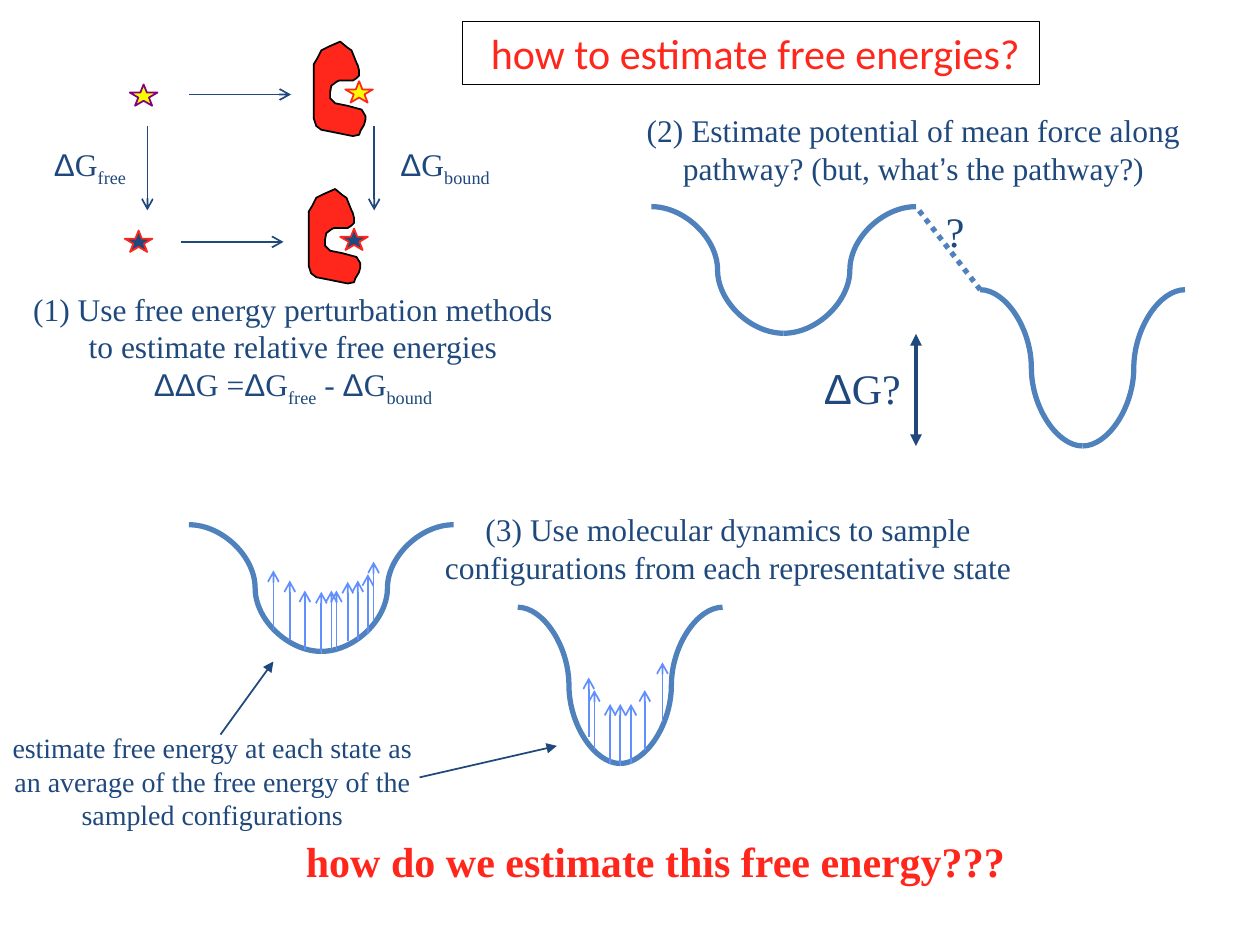
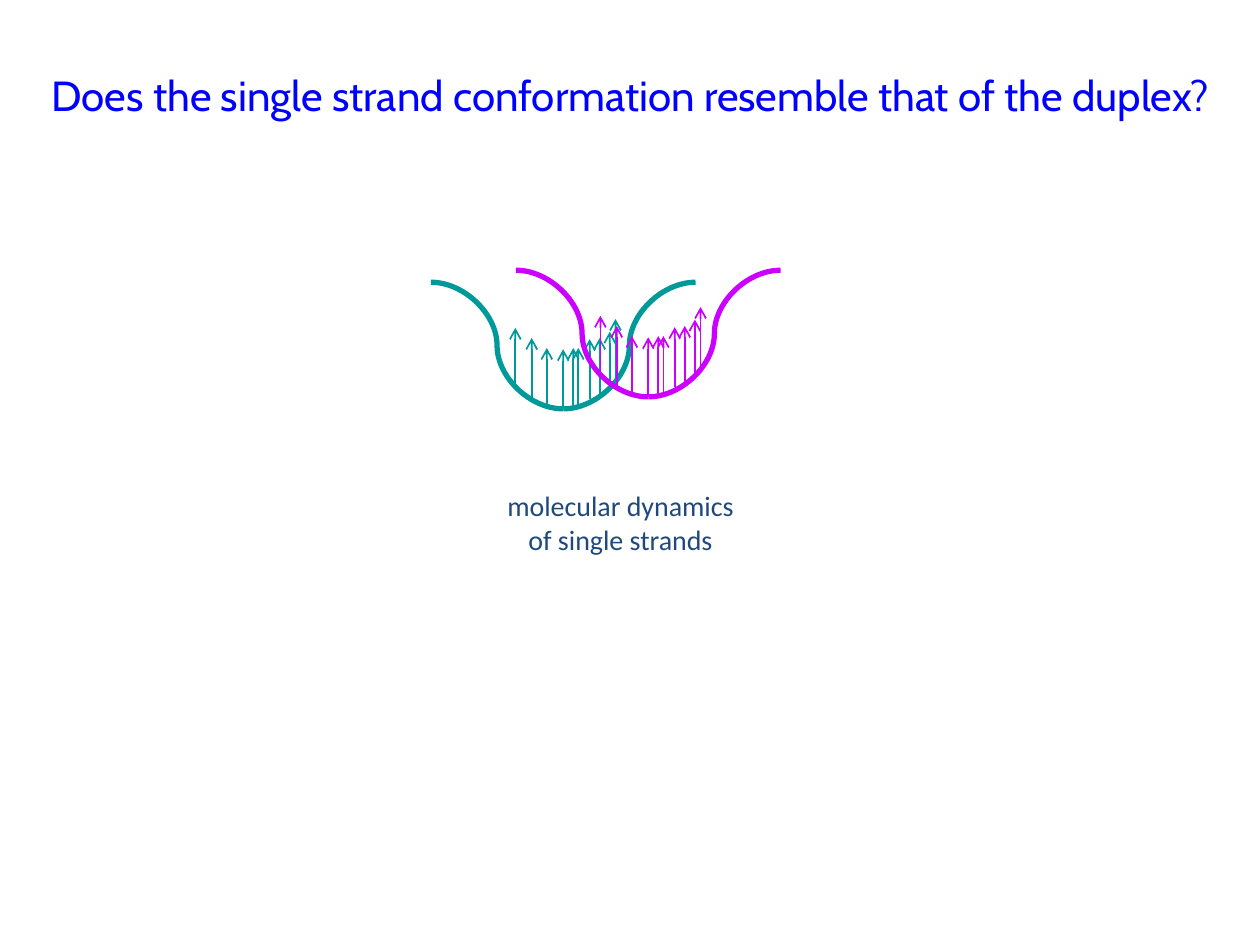
from dataclasses import dataclass

import pptx
import pptx.dml.color
import pptx.enum.dml
import pptx.enum.shapes
import pptx.enum.text
import pptx.oxml
import pptx.oxml.ns
import pptx.util


@dataclass(frozen=True)
class Theme:
    """Colours, fonts, type sizes and line widths of the deck."""
    navy: str = "1F497D"
    steel: str = "4F81BD"
    sky: str = "618FFD"
    red: str = "FF261B"
    yellow: str = "FAFD00"
    purple: str = "800080"
    black: str = "000000"
    blue: str = "0000FF"
    teal: str = "009999"
    magenta: str = "CC00FF"
    serif: str = "Times New Roman"
    symbol: str = "Arial"
    sans: str = "Calibri"
    heading: str = "Cabin"
    large: int = 24
    body: int = 18
    small: int = 16
    thin: float = 1
    medium: float = 2.25
    thick: float = 3


THEME = Theme()
COLUMNS, ROWS = 100, 75
CELL = pptx.util.Inches(0.1)
SAMPLE_ROWS = 4.73
WIDE_WELL = (21, 10.05)
NARROW_WELL = (16.25, 12.4)
WIDE_SAMPLES = [(-3.8, 1.7), (-2.5, 0.9), (-1.3, 0.1), (0, 0), (0.8, 0.1),
                (1.2, 0.1), (2.1, 0.8), (2.9, 0.9), (3.7, 1.4), (4.15, 2.4)]
NARROW_SAMPLES = [(-2.5, 2.1), (-2.05, 1.1), (-0.8, 0), (0, 0), (0.85, 0),
                  (1.95, 1.1), (3.35, 3.3)]
PROTEIN_OUTLINE = [
    (34, 17), (30, 7), (27, 5), (21, 0), (12, 4), (6, 7), (3, 13), (0, 18),
    (0, 29), (0, 52), (0, 61), (2, 67), (6, 70), (16, 72), (31, 75), (36, 74),
    (37, 71), (40, 66), (41, 62), (41, 59), (38, 54), (27, 51), (17, 49),
    (13, 45), (13, 40), (14, 35), (18, 32), (20, 31), (31, 31), (34, 29),
    (36, 27), (36, 23), (35, 19)]


@dataclass
class Region:
    """A box on a page, measured in grid columns and rows."""
    page: object
    left: float = 0
    top: float = 0
    width: float = COLUMNS
    height: float = ROWS

    def area(self, left, top, width, height):
        """Return a box placed relative to this one."""
        return Region(self.page, self.left + left, self.top + top, width, height)

    def point(self, column, row):
        """Return slide lengths for a position within this box."""
        return round((self.left + column) * CELL), round((self.top + row) * CELL)

    def frame(self):
        """Return left, top, width and height as slide lengths."""
        return *self.point(0, 0), round(self.width * CELL), round(self.height * CELL)


@dataclass
class Words:
    """A stretch of text in one style."""
    text: str
    font: str = THEME.serif
    lowered: bool = False
    bold: bool = False


def rgb(colour):
    """Turn a hex string into a colour."""
    return pptx.dml.color.RGBColor.from_string(colour)


def write(region, paragraphs, size, colour=THEME.navy, centred=True, wrap=True,
          fit=True, indent=0.1):
    """Fill a region with paragraphs made of styled words."""
    box = region.page.shapes.add_textbox(*region.frame())
    frame = box.text_frame
    frame.word_wrap = wrap
    frame.margin_left = pptx.util.Inches(indent)
    if fit:
        frame.auto_size = pptx.enum.text.MSO_AUTO_SIZE.SHAPE_TO_FIT_TEXT
    else:
        frame.vertical_anchor = pptx.enum.text.MSO_ANCHOR.MIDDLE
    for index, paragraph in enumerate(paragraphs):
        para = frame.add_paragraph() if index else frame.paragraphs[0]
        if centred:
            para.alignment = pptx.enum.text.PP_ALIGN.CENTER
        for words in paragraph:
            span = para.add_run()
            span.text = words.text
            span.font.name = words.font
            span.font.size = pptx.util.Pt(size)
            span.font.bold = words.bold
            span.font.color.rgb = rgb(colour)
            if words.lowered:
                span.font._element.set("baseline", "-25000")


def paint(shape, fill, outline, width=THEME.thin):
    """Set the fill and outline of a shape."""
    shape.shadow.inherit = False
    if fill:
        shape.fill.solid()
        shape.fill.fore_color.rgb = rgb(fill)
    else:
        shape.fill.background()
    shape.line.color.rgb = rgb(outline)
    shape.line.width = pptx.util.Pt(width)


def draw_line(region, start, end, colour=THEME.navy, width=THEME.thin, head=None,
              tail=None, dotted=False, curved=False):
    """Join two positions in a region by a line, curve or arrow."""
    kinds = pptx.enum.shapes.MSO_CONNECTOR
    line = region.page.shapes.add_connector(
        kinds.CURVE if curved else kinds.STRAIGHT,
        *region.point(*start), *region.point(*end))
    line.line.color.rgb = rgb(colour)
    line.line.width = pptx.util.Pt(width)
    if dotted:
        line.line.dash_style = pptx.enum.dml.MSO_LINE.ROUND_DOT
    properties = line._element.spPr
    stroke = properties.find(pptx.oxml.ns.qn("a:ln"))
    for tag, kind in (("headEnd", head), ("tailEnd", tail)):
        if kind:
            stroke.append(pptx.oxml.parse_xml(
                f'<a:{tag} {pptx.oxml.ns.nsdecls("a")} type="{kind}"/>'))
    properties.append(pptx.oxml.parse_xml(
        f'<a:effectLst {pptx.oxml.ns.nsdecls("a")}/>'))


def draw_well(region, colour=THEME.steel, samples=(), sample_colour=THEME.sky):
    """Draw an energy well across a region, with sampled states rising from it."""
    centre, bottom = region.width / 2, region.height
    for edge in (region.width, 0):
        draw_line(region, (centre, bottom), (edge, 0), colour, THEME.thick,
                  curved=True)
    for offset, rise in samples:
        column, row = centre + offset, bottom - rise
        draw_line(region, (column, row - SAMPLE_ROWS), (column, row),
                  sample_colour, head="arrow")


def draw_ligand(region, left, top, fill, outline=THEME.red):
    """Draw a ligand as a star."""
    star = region.page.shapes.add_shape(
        pptx.enum.shapes.MSO_SHAPE.STAR_5_POINT,
        *region.area(left, top, 2.2, 1.7).frame())
    paint(star, fill, outline)


def draw_complex(region, ligand):
    """Draw a protein with a ligand in its pocket."""
    builder = region.page.shapes.build_freeform(
        *PROTEIN_OUTLINE[0], scale=CELL / 10)
    builder.add_line_segments(PROTEIN_OUTLINE[1:], close=True)
    paint(builder.convert_to_shape(*region.point(0, 0)), THEME.red, THEME.black)
    draw_ligand(region, 2.5, 3.15, ligand)


def delta_g(state):
    """Return the words for the free energy change of a state."""
    return [Words("Δ", THEME.symbol), Words("G"), Words(state, lowered=True)]


def draw_perturbation(region):
    """Draw the thermodynamic cycle and its caption."""
    draw_complex(region.area(24.9, 0.3, 4.2, 7.5), THEME.yellow)
    draw_complex(region.area(24.5, 12, 4.2, 7.5), THEME.navy)
    draw_ligand(region, 10.3, 3.7, THEME.yellow, THEME.purple)
    draw_ligand(region, 9.9, 15.3, THEME.navy)
    for column, row in ((14.4, 16.2), (15, 4.5)):
        draw_line(region, (column, row), (column + 8.1, row), tail="arrow")
    for column in (11.7, 29.7):
        draw_line(region, (column, 13.7), (column, 7), head="arrow")
    for column, width, state in ((3.3, 11.7, "free"), (30.8, 13.3, "bound")):
        write(region.area(column, 8, width, 4), [delta_g(state)], THEME.body,
              centred=False)
    write(region.area(0, 19.5, region.width, 10), [
        [Words("(1) Use free energy perturbation methods to estimate relative "
               "free energies")],
        [Words("ΔΔ", THEME.symbol), Words("G ="), *delta_g("free"),
         Words(" - "), *delta_g("bound")],
    ], THEME.body, indent=0.17)


def draw_mean_force(region):
    """Draw two wells joined by an unknown pathway, under a caption."""
    draw_well(region.area(27.8, 14.7, *NARROW_WELL))
    draw_well(region.area(1.7, 8.1, *WIDE_WELL))
    draw_line(region, (22.7, 18.2), (22.7, 27.1), width=THEME.medium,
              head="triangle", tail="triangle")
    write(region.area(14.4, 20, 8.3, 5), [[Words("Δ", THEME.symbol), Words("G?")]],
          THEME.large, centred=False)
    draw_line(region, (27.8, 14.7), (22.7, 8.1), THEME.steel, THEME.thick, dotted=True)
    write(region.area(24.1, 7.5, 3.7, 5), [[Words("?")]], THEME.large,
          centred=False, wrap=False)
    write(region.area(0, 0, 45, 7), [[
        Words("(2) Estimate potential of mean force along pathway? (but, what"),
        Words("’", THEME.symbol), Words("s the pathway?)")]], THEME.body)


def draw_sampling(region):
    """Draw two sampled wells with their captions and pointers."""
    draw_well(region.area(41.1, 8.2, *NARROW_WELL), samples=NARROW_SAMPLES)
    draw_well(region.area(15, 1.65, *WIDE_WELL), samples=WIDE_SAMPLES)
    write(region.area(33.3, 0, 49, 7), [[
        Words("(3) Use molecular dynamics to sample configurations from each "
              "representative state")]], THEME.body)
    write(region.area(0, 17.5, 33.7, 9), [[
        Words("estimate free energy at each state as an average of the free "
              "energy of the sampled configurations")]], THEME.small)
    draw_line(region, (21.7, 12.5), (17.5, 18.3), head="triangle")
    draw_line(region, (33.3, 21.7), (44.2, 19.2), tail="triangle")


def draw_title(region, text, font, colour):
    """Write a slide title centred in a region."""
    write(region, [[Words(text, font)]], THEME.large, colour, fit=False)


def build_methods(page):
    """Build the slide comparing three ways to estimate free energies."""
    whole = Region(page)
    draw_mean_force(whole.area(50, 8.3, 45, 28))
    draw_sampling(whole.area(0, 40, 83, 27))
    draw_perturbation(whole.area(0, 3, 45.8, 30))
    draw_title(whole.area(28.3, 1.7, 63.3, 5), "how to estimate free energies?",
               THEME.sans, THEME.red)
    border = page.shapes.add_shape(pptx.enum.shapes.MSO_SHAPE.RECTANGLE,
                                   *whole.area(36.7, 1.7, 45.8, 5).frame())
    paint(border, None, THEME.black, 0.75)
    write(whole.area(23.3, 65.8, 58, 5),
          [[Words("how do we estimate this free energy???", bold=True)]],
          THEME.large, THEME.red, centred=False, wrap=False)


def build_strands(page):
    """Build the slide on single strand conformations."""
    whole = Region(page)
    draw_title(whole.area(1.7, 5, 96.7, 5),
               "Does the single strand conformation resemble that of the duplex?",
               THEME.heading, THEME.blue)
    for left, top, colour in ((34.2, 22.4, THEME.teal), (40.95, 21.45, THEME.magenta)):
        draw_well(whole.area(left, top, *WIDE_WELL), colour, WIDE_SAMPLES, colour)
    write(whole.area(38.4, 38.3, 21.7, 6.4),
          [[Words("molecular dynamics of single strands", THEME.sans)]], THEME.small)


def main():
    """Build and save the deck."""
    deck = pptx.Presentation()
    deck.slide_width, deck.slide_height = COLUMNS * CELL, ROWS * CELL
    for build in (build_methods, build_strands):
        build(deck.slides.add_slide(deck.slide_layouts[6]))
    deck.save("out.pptx")


if __name__ == "__main__":
    main()
